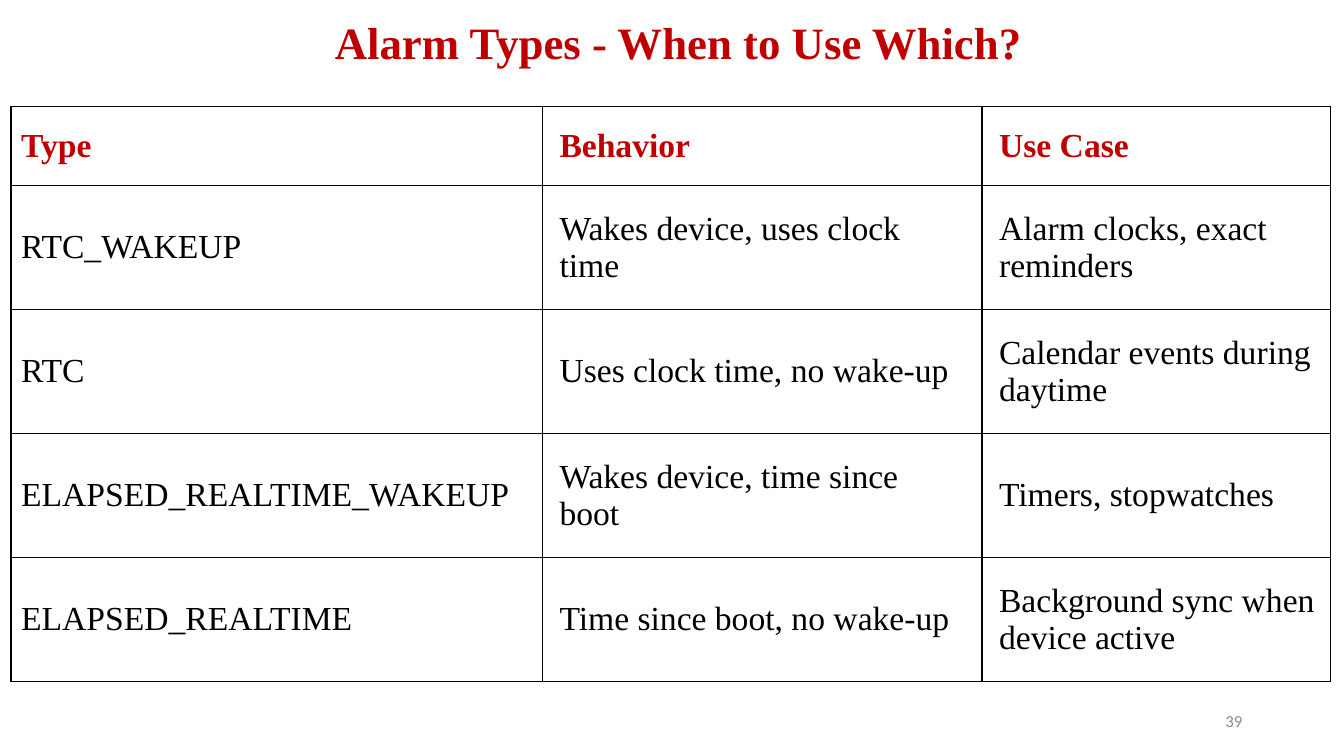
import pptx
import pptx.dml.color
import pptx.enum.text
import pptx.oxml
import pptx.oxml.ns
import pptx.util
from pptx.util import Inches

RED = pptx.dml.color.RGBColor(0xC0, 0x00, 0x00)
BLACK = pptx.dml.color.RGBColor(0x00, 0x00, 0x00)
GREY = pptx.dml.color.RGBColor(0x8C, 0x8C, 0x8C)
ALIGN = pptx.enum.text.PP_ALIGN
MIDDLE = pptx.enum.text.MSO_ANCHOR.MIDDLE
SERIF = "Times New Roman"

COLUMN_WIDTHS = [5.27, 4.36, 3.46]
ROW_HEIGHTS = [0.78] + [1.23] * 4
NARROW, WIDE = 0.1, 0.17
ALARM_ROWS = [
    ("Type", "Behavior", "Use Case"),
    ("RTC_WAKEUP", "Wakes device, uses clock time", "Alarm clocks, exact reminders"),
    ("RTC", "Uses clock time, no wake-up", "Calendar events during daytime"),
    ("ELAPSED_REALTIME_WAKEUP", "Wakes device, time since boot", "Timers, stopwatches"),
    ("ELAPSED_REALTIME", "Time since boot, no wake-up", "Background sync when device active"),
]


def style_font(para, name, size, color, bold=False):
    para.font.name = name
    para.font.size = pptx.util.Pt(size)
    para.font.color.rgb = color
    para.font.bold = bold


def add_line(page, text, left, top, width, height, align):
    """Add a one-paragraph text box and return its paragraph."""
    box = page.shapes.add_textbox(Inches(left), Inches(top), Inches(width), Inches(height))
    box.text_frame.word_wrap = True
    box.text_frame.vertical_anchor = MIDDLE
    para = box.text_frame.paragraphs[0]
    para.text = text
    para.alignment = align
    return para


deck = pptx.Presentation()
deck.slide_width, deck.slide_height = Inches(13.33), Inches(7.5)
page = deck.slides.add_slide(deck.slide_layouts[6])

title = add_line(page, " Alarm Types - When to Use Which?", 0.43, 0.17, 12.51, 0.56, ALIGN.CENTER)
title.line_spacing = 0.9
style_font(title, SERIF, 32, RED, bold=True)

table = page.shapes.add_table(
    len(ROW_HEIGHTS), len(COLUMN_WIDTHS), Inches(0.11), Inches(1.06),
    Inches(sum(COLUMN_WIDTHS)), Inches(sum(ROW_HEIGHTS)),
).table
table.first_row = table.horz_banding = False
for column, width in zip(table.columns, COLUMN_WIDTHS):
    column.width = Inches(width)
for row, height in zip(table.rows, ROW_HEIGHTS):
    row.height = Inches(height)

for r, texts in enumerate(ALARM_ROWS):
    header = r == 0
    for c, text in enumerate(texts):
        cell = table.cell(r, c)
        cell.text = text
        cell.vertical_anchor = MIDDLE
        cell.margin_top = cell.margin_bottom = Inches(NARROW)
        cell.margin_left = Inches(NARROW if c == 0 else WIDE)
        cell.margin_right = Inches(NARROW if c == 2 and not header else WIDE)
        style_font(cell.text_frame.paragraphs[0], SERIF, 24, RED if header else BLACK, header)
        properties = cell._tc.get_or_add_tcPr()
        for side in "LRTB":
            properties.append(pptx.oxml.parse_xml(
                f'<a:ln{side} {pptx.oxml.ns.nsdecls("a")} w="12700"><a:solidFill>'
                f'<a:srgbClr val="{BLACK}"/></a:solidFill></a:ln{side}>'
            ))
        cell.fill.background()

number = add_line(page, "39", 9.42, 6.95, 3, 0.4, ALIGN.RIGHT)
style_font(number, "Calibri", 12, GREY)

deck.save("out.pptx")
